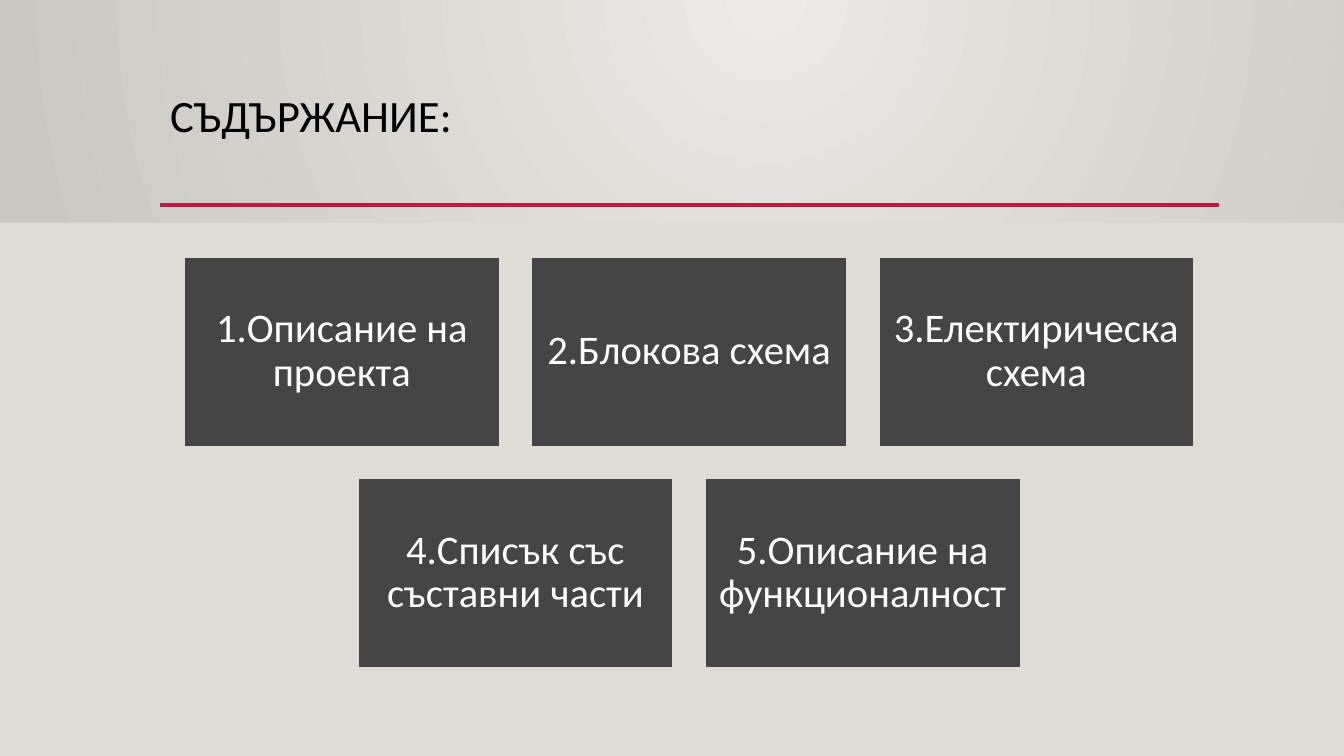
from lxml import etree
from pptx import Presentation
from pptx.dml.color import RGBColor
from pptx.enum.shapes import MSO_CONNECTOR, MSO_SHAPE
from pptx.enum.text import MSO_ANCHOR, PP_ALIGN
from pptx.oxml import parse_xml
from pptx.oxml.ns import nsdecls, qn
from pptx.util import Cm, Pt

# Content
TITLE = "СЪДЪРЖАНИЕ:"
ROWS = [
    ["1.Описание на проекта", "2.Блокова схема", "3.Електирическа схема"],
    ["4.Списък със съставни части", "5.Описание на функционалност"],
]

# Style
FONT = "Calibri"
BLACK = RGBColor(0x00, 0x00, 0x00)
WHITE = RGBColor(0xFF, 0xFF, 0xFF)
CRIMSON = RGBColor(0xB7, 0x1E, 0x42)
CHARCOAL = RGBColor(0x45, 0x45, 0x45)
SAND = RGBColor(0xDF, 0xDB, 0xD5)
GLOW = RGBColor(0xEC, 0xEA, 0xE7)
STONE = RGBColor(0xCA, 0xC6, 0xC1)

# Layout in centimetres
SLIDE_W, SLIDE_H = 33.87, 19.05
PANEL_TOP = 5.61
TITLE_LEFT, TITLE_TOP, TITLE_W, TITLE_H = 4.04, 2.24, 26.67, 2.92
RULE_Y = 5.16
CARD_W, CARD_H, GAP = 7.95, 4.77, 0.8
CARDS_CENTER, CARDS_TOP = 17.37, 6.48
CARD_INSET = 0.3


def write(tf, text, size, color, align):
    tf.word_wrap = True
    p = tf.paragraphs[0]
    p.text = text
    p.alignment = align
    p.line_spacing = 0.9
    font = p.runs[0].font
    font.name, font.size = FONT, Pt(size)
    font.color.rgb = color


def add_box(s, left, top, width, height, color):
    sp = s.shapes.add_shape(MSO_SHAPE.RECTANGLE, Cm(left), Cm(top), Cm(width), Cm(height))
    sp.shadow.inherit = False
    sp.fill.solid()
    sp.fill.fore_color.rgb = color
    sp.line.fill.background()
    return sp


def add_card(s, left, top, text):
    sp = add_box(s, left, top, CARD_W, CARD_H, CHARCOAL)
    sp.line.color.rgb = SAND
    sp.line.width = Pt(1.25)
    tf = sp.text_frame
    tf.margin_left = tf.margin_right = tf.margin_top = tf.margin_bottom = Cm(CARD_INSET)
    tf.vertical_anchor = MSO_ANCHOR.MIDDLE
    write(tf, text, 29, WHITE, PP_ALIGN.CENTER)
    tf.paragraphs[0].space_after = Pt(12)


prs = Presentation()
prs.slide_width, prs.slide_height = Cm(SLIDE_W), Cm(SLIDE_H)
s = prs.slides.add_slide(prs.slide_layouts[6])

# Background: circular gradient centred on the top edge
fill = s.background.fill
fill.gradient()
for stop, color, position in zip(fill.gradient_stops, (GLOW, STONE), (0, 1)):
    stop.color.rgb = color
    stop.position = position
lin = s.background._cSld.find(".//" + qn("a:lin"))
lin.getparent().replace(lin, parse_xml(
    f'<a:path {nsdecls("a")} path="circle">'
    '<a:fillToRect l="57000" t="0" r="43000" b="100000"/></a:path>'))

# Title and rule
title = s.shapes.add_textbox(Cm(TITLE_LEFT), Cm(TITLE_TOP), Cm(TITLE_W), Cm(TITLE_H))
write(title.text_frame, TITLE, 32, BLACK, PP_ALIGN.LEFT)
rule = s.shapes.add_connector(MSO_CONNECTOR.STRAIGHT, Cm(TITLE_LEFT), Cm(RULE_Y),
                              Cm(TITLE_LEFT + TITLE_W), Cm(RULE_Y))
rule.line.color.rgb = CRIMSON
rule.line.width = Pt(2.5)
etree.SubElement(rule._element.spPr, qn("a:effectLst"))

# Lower panel
add_box(s, 0, PANEL_TOP, SLIDE_W, SLIDE_H - PANEL_TOP, SAND)

# Cards, each row centred
for i, row in enumerate(ROWS):
    row_w = len(row) * (CARD_W + GAP) - GAP
    for j, text in enumerate(row):
        add_card(s, CARDS_CENTER - row_w / 2 + j * (CARD_W + GAP),
                 CARDS_TOP + i * (CARD_H + GAP), text)

prs.save("out.pptx")
